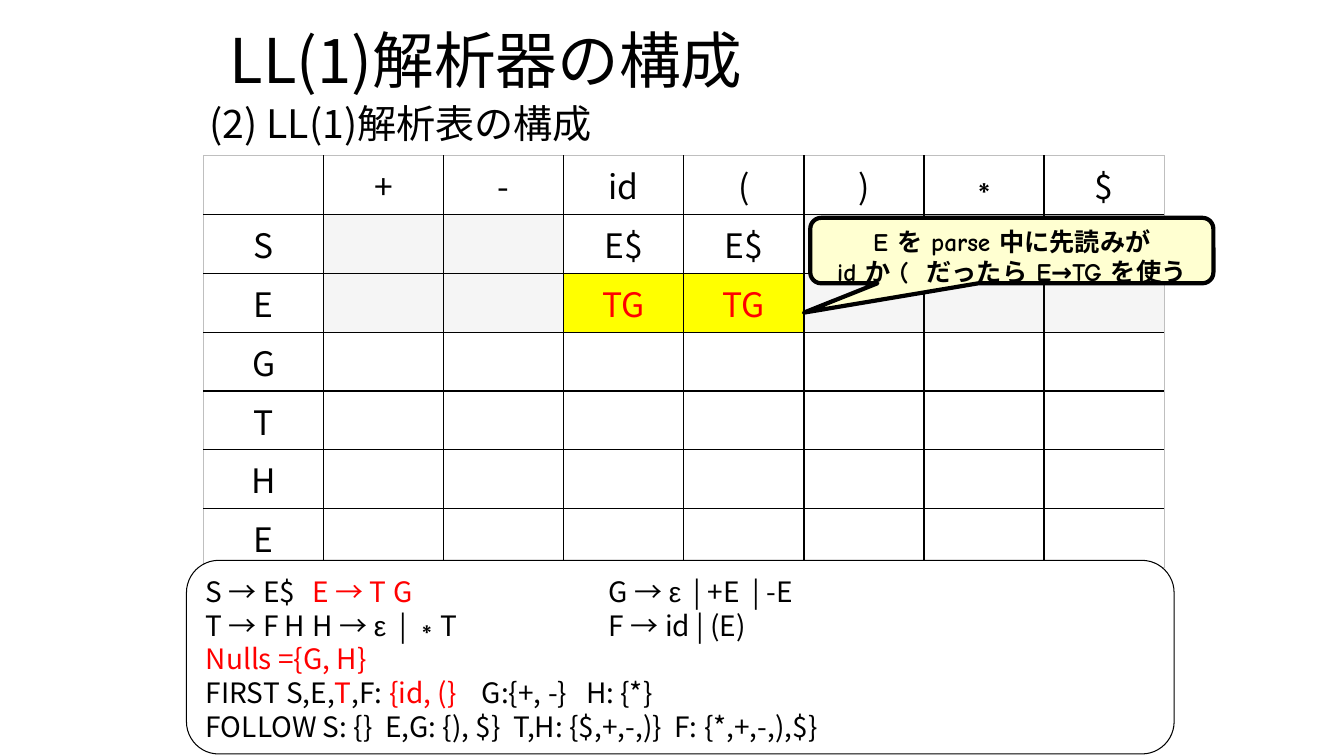
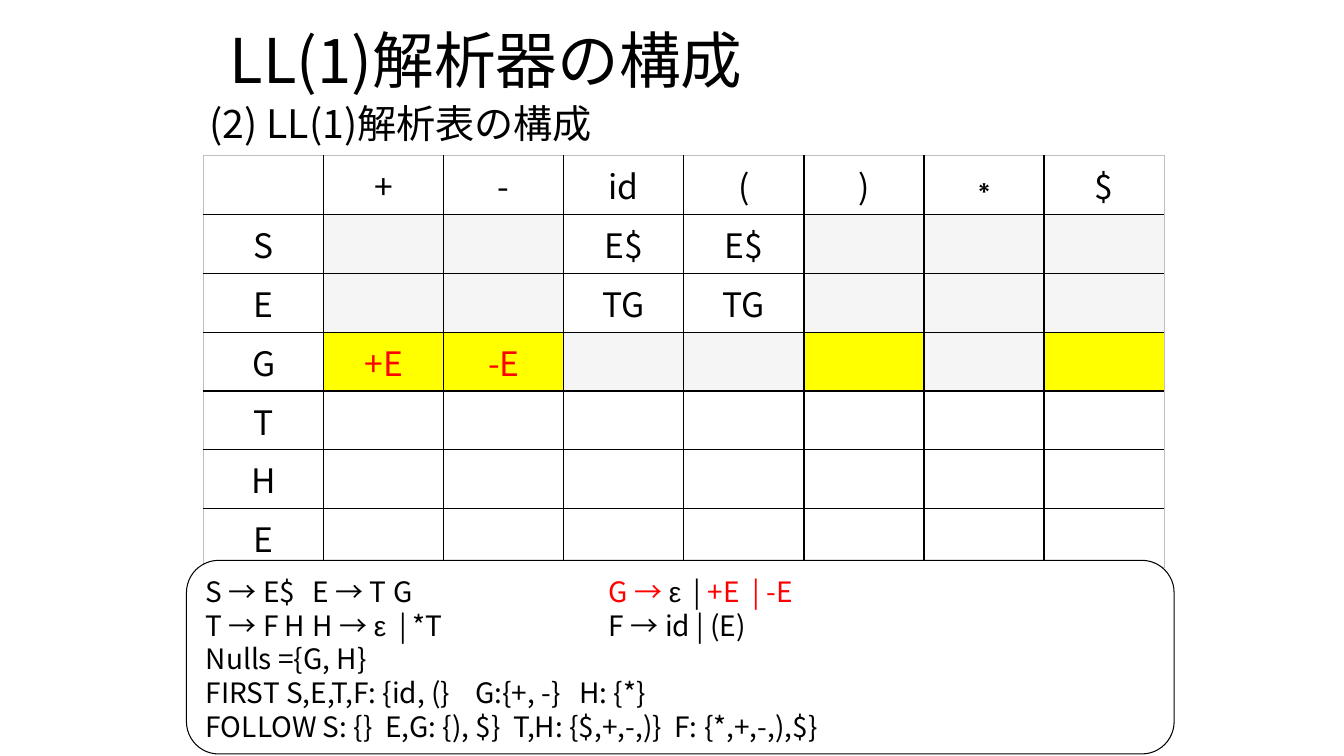
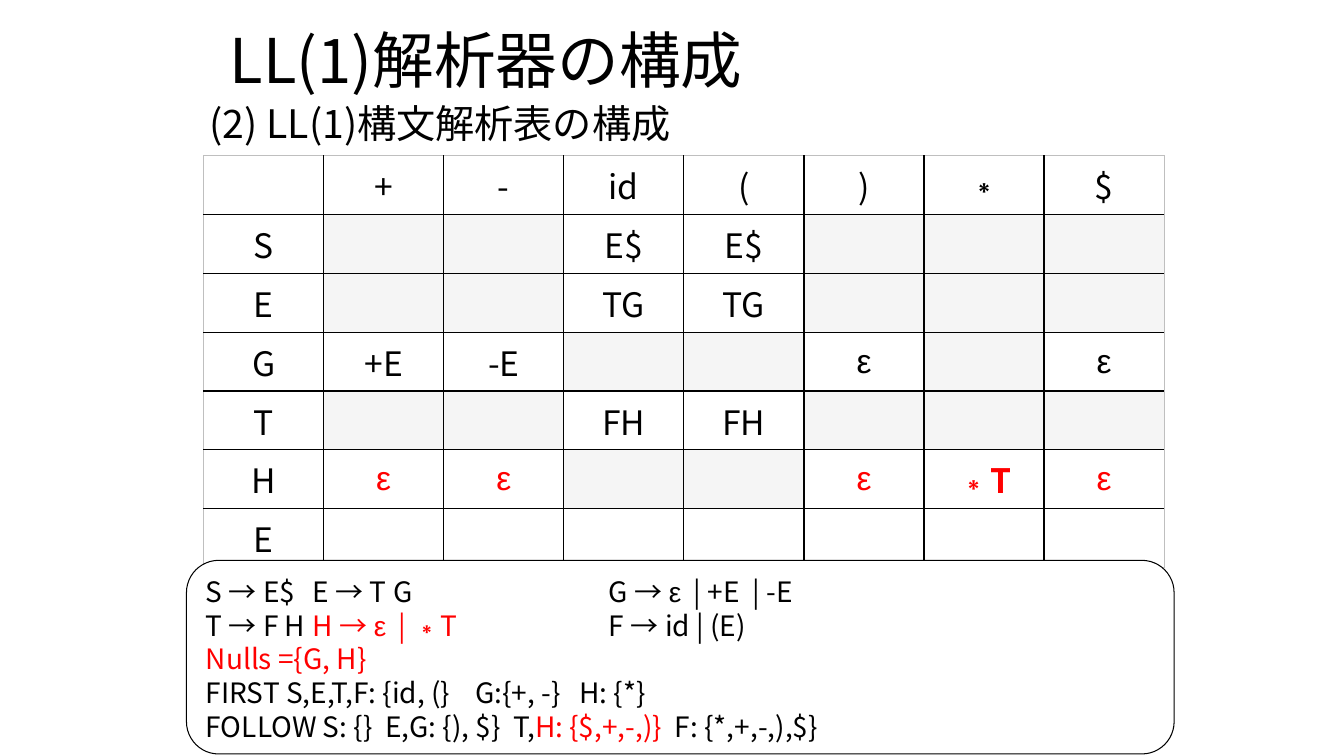
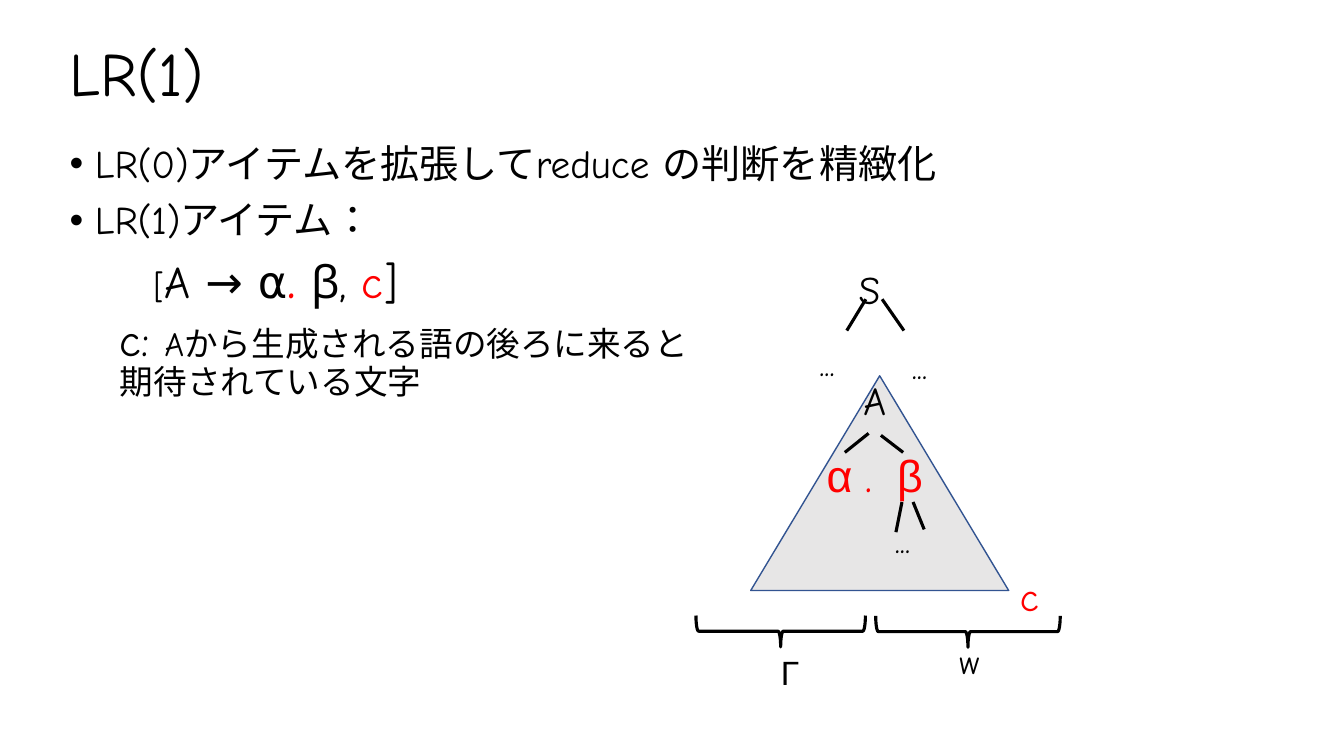
from dataclasses import dataclass
from itertools import groupby

from lxml import etree
from pptx import Presentation
from pptx.dml.color import RGBColor
from pptx.enum.lang import MSO_LANGUAGE_ID as Language
from pptx.enum.shapes import MSO_CONNECTOR, MSO_SHAPE
from pptx.enum.text import MSO_ANCHOR as Anchor, MSO_AUTO_SIZE as AutoSize, PP_ALIGN as Align
from pptx.oxml.ns import qn
from pptx.util import Cm, Pt


@dataclass(frozen=True)
class Theme:
    black: str = "000000"
    white: str = "FFFFFF"
    red: str = "FF0000"
    yellow: str = "FFFF00"
    cream: str = "FFFFD1"
    unused: str = "F5F5F5"
    edge: str = "BFBFBF"
    triangle: str = "E7E6E6"
    triangle_line: str = "325491"
    gothic: str = "Noto Sans CJK JP"
    comic: str = "Comic Neue"
    symbol: str = "Arial"
    title: int = 44
    dot: int = 40
    formula: int = 32
    body: int = 28
    cell: int = 24
    grammar: int = 20
    callout: int = 18


T = Theme()
RED = T.red


def write(paragraph, runs, size, font=T.gothic):
    """Fill a paragraph from strings or (text, colour, size, font) tuples."""
    for item in runs:
        text, *style = [item] if isinstance(item, str) else item
        color, own_size, own_font = (style + [None] * 3)[:3]
        for number, line in enumerate(text.split("\n")):
            if number:
                paragraph.add_line_break()
            for is_symbol, letters in groupby(line, lambda letter: letter in "ε∗"):
                run = paragraph.add_run()
                run.text = "".join(letters)
                run.font.size = Pt(own_size or size)
                run.font.color.rgb = RGBColor.from_string(color or T.black)
                run.font.language_id = Language.JAPANESE
                run.font.name = T.symbol if is_symbol else own_font or font
                latin = run.font._element.find(qn("a:latin"))
                latin.addnext(etree.Element(qn("a:ea"), typeface=run.font.name))


def start_slide(title, font, title_box, body_box):
    """Add a slide with its title set; return it with its body text frame."""
    slide = deck.slides.add_slide(deck.slide_layouts[1])
    heading, body = slide.placeholders
    for holder, box in ((heading, title_box), (body, body_box)):
        holder.left, holder.top, holder.width, holder.height = map(Cm, box)
        holder.text_frame.auto_size = AutoSize.NONE
    heading.text_frame.vertical_anchor = Anchor.MIDDLE
    line = heading.text_frame.paragraphs[0]
    line.alignment = Align.LEFT
    line.line_spacing = 0.9
    write(line, [title], T.title, font)
    return slide, body.text_frame


deck = Presentation()
deck.slide_width, deck.slide_height = Cm(33.87), Cm(19.05)

# LL(1) table: one row per nonterminal, one column per token
TOKENS = ["", "+", "-", "id", "(", ")", "∗", "$"]
PARSE_ROWS = [
    ["S", "", "", "E$", "E$", "", "", ""],
    ["E", "", "", "TG", "TG", "", "", ""],
    ["G", "+E", "-E", "", "", "ε", "", "ε"],
    ["T", "", "", "FH", "FH", "", "", ""],
    ["H", "ε", "ε", "", "", "ε", "∗T", "ε"],
    ["E", "", "", "", "", "", "", ""],
]
GRAMMAR_TABS = (2.54, 7.62, 10.16)
FIRST = "FIRST S,E,T,F: {id, (}    G:{+, -}   H: {*}"
FOLLOW = "FOLLOW S: {}  E,G: {), $}  T,H: {$,+,-,)}  F: {*,+,-,),$}"

# Each step: subtitle, rows done so far, marker colour of the newest row, grammar
STEPS = [
    ("(2) LL(1)解析表の構成", 2, T.yellow, [
        ["S → E$ \t ", ("E → T G", RED), "\t      \tG → ε  | +E  | -E"],
        ["T → F H\t H → ε  | ∗T \t\tF → id | (E)"],
        [("Nulls ={G, H}", RED)],
        ["FIRST S,E,", ("T", RED), ",F: ", ("{id, (}", RED), "    G:{+, -}   H: {*}"],
        [FOLLOW],
    ]),
    ("(2) LL(1)解析表の構成", 3, T.yellow, [
        ["S → E$ \t E → T G\t      \t", ("G → ", RED), "ε  |", (" +E  | -E", RED)],
        ["T → F H\t H → ε  | *T \t\tF → id | (E)"],
        ["Nulls ={G, H}"],
        [FIRST],
        [FOLLOW],
    ]),
    ("(2) LL(1)構文解析表の構成", 5, None, [
        ["S → E$ \t E → T G\t      \tG → ε  | +E  | -E"],
        ["T → F H\t ", ("H → ε  | ∗T ", RED), "\t\tF → id | (E)"],
        [("Nulls ={G, H}", RED)],
        [FIRST],
        ["FOLLOW S: {}  E,G: {), $}  T,", ("H: {$,+,-,)}  ", RED), "F: {*,+,-,),$}"],
    ]),
]

for subtitle, done, marker, grammar in STEPS:
    slide, body = start_slide("LL(1)解析器の構成", T.gothic,
                              (5.54, 0, 22.86, 3.18), (5.03, 2.51, 24.21, 12.57))

    # Subtitle
    line = body.paragraphs[0]
    line.line_spacing, line.space_before = 0.9, Pt(10)
    write(line, [subtitle], T.body)
    pPr = line._p.get_or_add_pPr()
    pPr.set("marL", "0")
    pPr.set("indent", "0")
    etree.SubElement(pPr, qn("a:buNone"))

    # Parse table
    rows = [TOKENS] + PARSE_ROWS
    last_row, last_column = len(rows) - 1, len(TOKENS) - 1
    table = slide.shapes.add_table(len(rows), len(TOKENS), Cm(5.13), Cm(3.92),
                                   Cm(24.21), Cm(10.22)).table
    table.first_row = table.horz_banding = False
    for r, entries in enumerate(rows):
        for c, entry in enumerate(entries):
            cell = table.cell(r, c)
            cell.vertical_anchor = Anchor.MIDDLE
            newest = r == done and c > 0
            fill = None
            if c and 0 < r <= done:
                if not entry:
                    fill = T.unused
                elif newest:
                    fill = marker
            if fill:
                cell.fill.solid()
                cell.fill.fore_color.rgb = RGBColor.from_string(fill)
            else:
                cell.fill.background()

            # Epsilon entries stay open while their row is only marked
            shown = c == 0 or r == 0 or (r <= done and not (marker and entry == "ε"))
            if entry and shown:
                line = cell.text_frame.paragraphs[0]
                line.alignment = Align.CENTER
                write(line, [(entry, RED if newest else T.black)], T.cell)
                if entry == "∗T":
                    line.runs[-1].font.bold = True

            # Black inner lines, pale outer edge
            outer = (c == 0, c == last_column, r == 0, r == last_row)
            for order, (side, at_edge) in enumerate(zip("LRTB", outer)):
                border = etree.Element(qn(f"a:ln{side}"), w=str(Pt(0.5 if at_edge else 1)))
                solid = etree.SubElement(border, qn("a:solidFill"))
                etree.SubElement(solid, qn("a:srgbClr"), val=T.edge if at_edge else T.black)
                cell._tc.get_or_add_tcPr().insert(order, border)

    # Grammar box, and the callout on the first step
    panels = [(MSO_SHAPE.ROUNDED_RECTANGLE, (4.7, 14.12, 24.89, 4.88), T.white, 0.75,
               grammar, T.grammar, T.gothic, Align.LEFT)]
    if done == 2:
        panels.append((MSO_SHAPE.ROUNDED_RECTANGULAR_CALLOUT, (20.42, 5.49, 10.16, 1.65),
                       T.cream, 3, [["E を parse 中に先読みが\nid か (  だったら E→TG を使う"]],
                       T.callout, T.comic, Align.CENTER))
    for kind, box, fill, weight, lines, size, font, align in panels:
        panel = slide.shapes.add_shape(kind, *map(Cm, box))
        panel.shadow.inherit = False
        panel.fill.solid()
        panel.fill.fore_color.rgb = RGBColor.from_string(fill)
        panel.line.color.rgb = RGBColor.from_string(T.black)
        panel.line.width = Pt(weight)
        frame = panel.text_frame
        frame.vertical_anchor = Anchor.TOP
        for number, runs in enumerate(lines):
            line = frame.add_paragraph() if number else frame.paragraphs[0]
            line.alignment = align
            write(line, runs, size, font)
            if lines is grammar:
                stops = etree.SubElement(line._p.get_or_add_pPr(), qn("a:tabLst"))
                for stop in GRAMMAR_TABS:
                    etree.SubElement(stops, qn("a:tab"), pos=str(Cm(stop)), algn="l")
        if lines is not grammar:
            panel.adjustments[0], panel.adjustments[1] = -0.516, 0.948
            frame.word_wrap = False
            for run in frame.paragraphs[0].runs:
                run.font.bold = True

# LR(1) items
slide, body = start_slide("LR(1)", T.comic, (1.5, 0.33, 31.72, 3.18), (1.5, 3.51, 31.72, 12.57))
ITEMS = [
    (0, ["LR(0)アイテムを拡張してreduce の判断を精緻化"]),
    (0, ["LR(1)アイテム："]),
    (1, [("　[", None, T.cell), ("A → α", None, T.formula), (".", RED, T.dot),
         (" β, ", None, T.formula), ("c", RED, T.formula), ("]", None, T.formula)]),
    (1, [("c: ", None, T.formula),
         ("Aから生成される語の後ろに来ると\n期待されている文字", None, T.cell)]),
]
for number, (level, runs) in enumerate(ITEMS):
    line = body.add_paragraph() if number else body.paragraphs[0]
    line.level = level
    line.line_spacing, line.space_before = 0.9, Pt(5 if level else 10)
    write(line, runs, T.body, T.comic)
    pPr = line._p.get_or_add_pPr()
    pPr.set("marL", str(Cm(1.27 if level else 0.64)))
    pPr.set("indent", str(Cm(0 if level else -0.64)))
    if level:
        etree.SubElement(pPr, qn("a:buNone"))
    else:
        etree.SubElement(pPr, qn("a:buFont"), typeface=T.symbol)
        etree.SubElement(pPr, qn("a:buChar"), char="•")

# Subtree of A, and the braces under the input
subtree = slide.shapes.add_shape(MSO_SHAPE.ISOSCELES_TRIANGLE,
                                 Cm(18.92), Cm(9.47), Cm(6.5), Cm(5.41))
subtree.shadow.inherit = False
subtree.fill.solid()
subtree.fill.fore_color.rgb = RGBColor.from_string(T.triangle)
subtree.line.color.rgb = RGBColor.from_string(T.triangle_line)
subtree.line.width = Pt(1)
for box in ((19.28, 13.77, 0.79, 4.27), (24, 13.59, 0.79, 4.65)):
    brace = slide.shapes.add_shape(MSO_SHAPE.LEFT_BRACE, *map(Cm, box))
    brace.rotation = 270
    brace.shadow.inherit = False
    brace.fill.background()
    brace.line.color.rgb = RGBColor.from_string(T.black)
    brace.line.width = Pt(2.25)

# Branches of the tree
BRANCHES = [
    (21.82, 7.54, 21.34, 8.33), (22.23, 7.54, 22.78, 8.33),
    (21.89, 10.92, 21.29, 11.4), (22.2, 10.97, 22.76, 11.4),
    (22.73, 12.65, 22.58, 13.41), (23.01, 12.65, 23.29, 13.34),
]
for ends in BRANCHES:
    branch = slide.shapes.add_connector(MSO_CONNECTOR.STRAIGHT, *map(Cm, ends))
    branch.line.color.rgb = RGBColor.from_string(T.black)
    branch.line.width = Pt(2.25)
    etree.SubElement(branch._element.spPr, qn("a:effectLst"))

# Node labels
LABELS = [
    ((21.39, 6.55, 1.19, 1.45), ["S"], T.body),
    ((20.4, 8.51, 1.14, 1.27), ["..."], T.cell),
    ((22.73, 8.59, 1.14, 1.27), ["..."], T.cell),
    ((21.51, 9.35, 1.24, 1.45), ["A"], T.body),
    ((20.27, 11.15, 3.3, 2.24), [(" α ", RED, None, T.symbol), (".", RED),
                                 ("   ", None, T.callout), ("β", RED, None, T.symbol)], T.formula),
    ((22.3, 12.98, 1.14, 1.27), ["..."], T.cell),
    ((19.43, 16.31, 1.04, 1.27), [("Γ", None, None, T.symbol)], T.cell),
    ((23.93, 16.03, 1.09, 1.27), ["w"], T.cell),
    ((25.45, 14.3, 1.02, 1.45), [("c", RED)], T.body),
]
for box, runs, size in LABELS:
    frame = slide.shapes.add_textbox(*map(Cm, box)).text_frame
    frame.word_wrap = False
    frame.auto_size = AutoSize.SHAPE_TO_FIT_TEXT
    write(frame.paragraphs[0], runs, size, T.comic)

deck.save("out.pptx")
